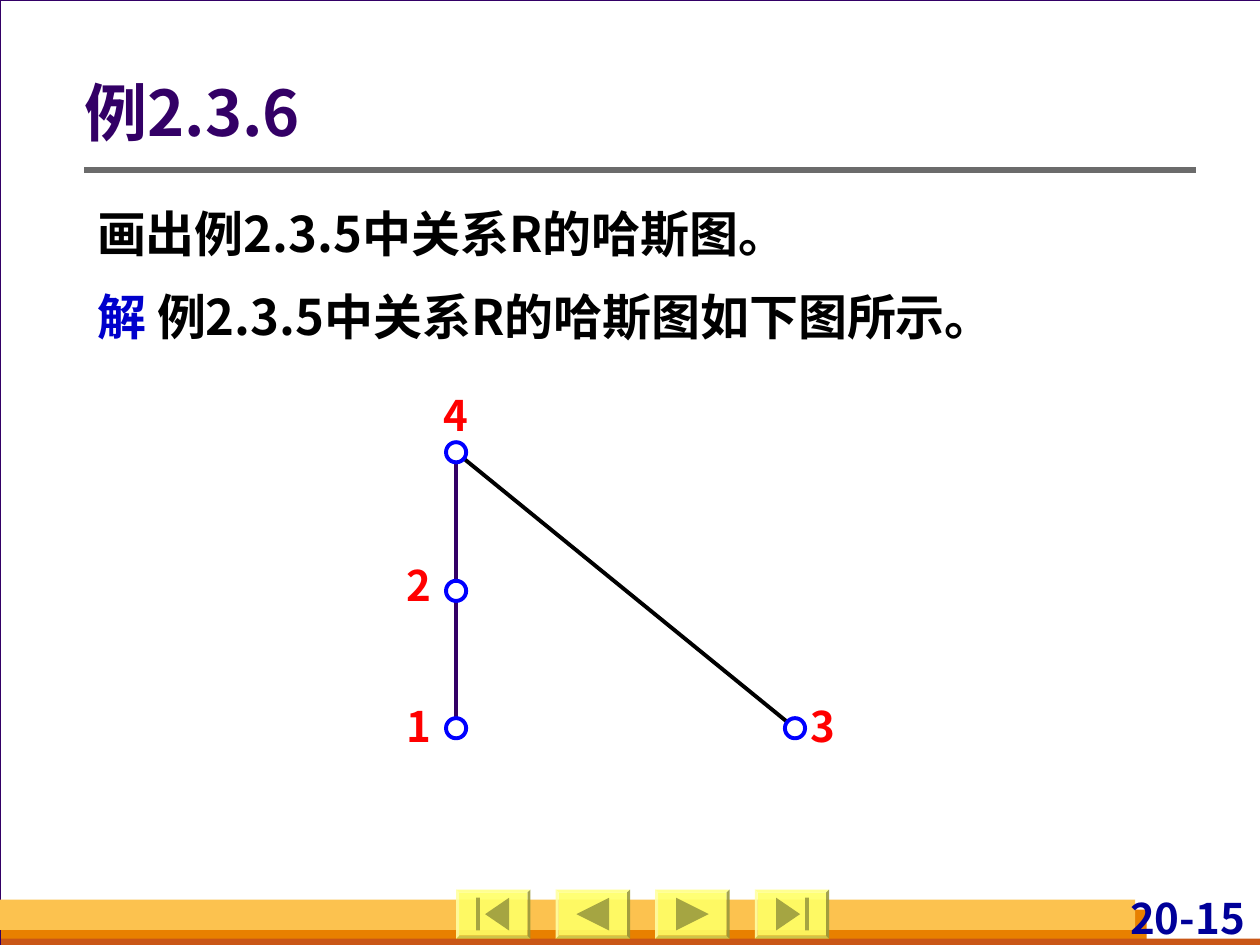
"""Builds the Hasse diagram slide of example 2.3.6."""
import pptx
import pptx.dml.color
import pptx.enum.shapes
import pptx.enum.text
import pptx.oxml
import pptx.oxml.ns
import pptx.util
from pptx.util import Inches

SHAPE = pptx.enum.shapes.MSO_SHAPE
ALIGN = pptx.enum.text.PP_ALIGN
ANCHOR = pptx.enum.text.MSO_ANCHOR
FONT = "Noto Sans CJK SC"
COLORS = {
    "backdrop": "D8DADA", "white": "FFFFFF", "purple": "330066",
    "orange": "E88000", "rust": "C95616", "amber": "FCC24F",
    "navy": "000099", "gray": "6B6B6B", "button": "FFFF66", "icon": "A5A542",
    "black": "000000", "answer": "0000CC", "label": "FF0000", "node": "0000FF",
}


class SlideBuilder:
    def __init__(self, slide):
        self.slide = slide
        slide.background.fill.solid()
        slide.background.fill.fore_color.rgb = self.color("backdrop")

    def color(self, name):
        return pptx.dml.color.RGBColor.from_string(COLORS[name])

    def element(self, tag, attributes=""):
        namespace = pptx.oxml.ns.nsdecls("a")
        return pptx.oxml.parse_xml(f"<a:{tag} {namespace} {attributes}/>")

    def shape(self, kind, left, top, width, height, fill, line=None, weight=0.75, alpha=None):
        shape = self.slide.shapes.add_shape(
            kind, Inches(left), Inches(top), Inches(width), Inches(height))
        shape.shadow.inherit = False
        shape.fill.solid()
        shape.fill.fore_color.rgb = self.color(fill)
        if alpha:
            solid = shape.element.spPr.find(pptx.oxml.ns.qn("a:solidFill"))
            solid[0].append(self.element("alpha", f'val="{alpha * 1000}"'))
        if line:
            shape.line.color.rgb = self.color(line)
            shape.line.width = pptx.util.Pt(weight)
        else:
            shape.line.fill.background()
        return shape

    def line(self, start, end, color, weight):
        connector = self.slide.shapes.add_connector(
            pptx.enum.shapes.MSO_CONNECTOR.STRAIGHT, *map(Inches, start + end))
        connector.line.color.rgb = self.color(color)
        connector.line.width = pptx.util.Pt(weight)
        connector.element.spPr.append(self.element("effectLst"))

    def fill_text(self, box, paragraphs, size, frame_format, para_format):
        frame = box.text_frame
        frame.word_wrap = True
        frame.auto_size = pptx.enum.text.MSO_AUTO_SIZE.NONE
        for name, value in frame_format.items():
            setattr(frame, name, value)
        for index, spans in enumerate(paragraphs):
            para = frame.add_paragraph() if index else frame.paragraphs[0]
            for name, value in para_format.items():
                setattr(para, name, value)
            para.space_before = pptx.util.Pt(7 if index else 0)
            properties = para._p.get_or_add_pPr()
            properties.set("marL", "0")
            properties.set("indent", "0")
            properties.append(self.element("buNone"))
            for text, color in spans:
                span = para.add_run()
                span.text = text
                font_format = {"size": pptx.util.Pt(size), "bold": True, "name": FONT}
                for name, value in font_format.items():
                    setattr(span.font, name, value)
                span.font.color.rgb = self.color(color)
                span._r.get_or_add_rPr().append(self.element("ea", f'typeface="{FONT}"'))

    def placeholder(self, index, left, top, width, height, *content):
        box = self.slide.placeholders[index]
        place = {"left": left, "top": top, "width": width, "height": height}
        for name, value in place.items():
            setattr(box, name, Inches(value))
        box.element.getparent().append(box.element)
        self.fill_text(box, *content)

    def text(self, left, top, width, height, text, color, align, margin=0):
        box = self.slide.shapes.add_textbox(
            Inches(left), Inches(top), Inches(width), Inches(height))
        margins = {"margin_left": Inches(margin), "margin_right": Inches(margin),
                   "margin_top": 0, "margin_bottom": 0}
        self.fill_text(box, [[(text, color)]], 24, margins, {"alignment": align})

    def button(self, left, direction, bar):
        top, width, height, icon = 7.06, 0.59, 0.39, 0.26
        bevel = self.shape(SHAPE.BEVEL, left, top, width, height, "button", alpha=90)
        bevel.adjustments[0] = 0.06
        middle, center = left + width / 2, top + height / 2
        length = 0.19 if bar else icon
        shift = -0.03 * direction if bar else 0
        arrow = self.shape(SHAPE.ISOSCELES_TRIANGLE, middle + shift - icon / 2,
                           center - length / 2, icon, length, "icon")
        arrow.rotation = 90 * direction
        if bar:
            self.shape(SHAPE.RECTANGLE, middle + 0.12 * direction - 0.015,
                       center - icon / 2, 0.03, icon, "icon")

    def node(self, center_x, center_y):
        size = 0.16
        self.shape(SHAPE.OVAL, center_x - size / 2, center_y - size / 2,
                   size, size, "white", "node", 2.25)


def main():
    deck = pptx.Presentation()
    deck.slide_width, deck.slide_height = Inches(10), Inches(7.5)
    page = SlideBuilder(deck.slides.add_slide(deck.slide_layouts[1]))

    page.shape(SHAPE.RECTANGLE, 0, 0, 10.01, 7.5, "white", "purple")
    for left, top, width, height, fill in (
            (0.01, 7.22, 9.09, 0.28, "orange"),
            (0.01, 7.45, 10, 0.08, "rust"),
            (0, 7.14, 9.01, 0.24, "amber")):
        page.shape(SHAPE.RECTANGLE, left, top, width, height, fill)
    page.text(8.47, 7.08, 1.45, 0.46, "20-15", "navy", ALIGN.RIGHT, 0.04)
    page.line((0.67, 1.35), (9.49, 1.35), "gray", 3)
    for index, (direction, bar) in enumerate(((-1, True), (-1, False), (1, False), (1, True))):
        page.button(3.62 + 0.79 * index, direction, bar)

    page.placeholder(
        0, 0.67, 0.6, 8.82, 0.64, [[("例2.3.6", "purple")]], 36,
        {"margin_left": 0, "vertical_anchor": ANCHOR.MIDDLE},
        {"alignment": ALIGN.LEFT, "line_spacing": 0.9})
    page.placeholder(
        1, 0.67, 1.47, 8.82, 1.33,
        [[("画出例2.3.5中关系R的哈斯图。", "black")],
         [("解", "answer"), (" 例2.3.5中关系R的哈斯图如下图所示。", "black")]], 28,
        {"vertical_anchor": ANCHOR.TOP},
        {"alignment": ALIGN.JUSTIFY, "line_spacing": 1.2})

    nodes = {"1": (3.62, 5.78), "2": (3.62, 4.69), "3": (6.31, 5.78), "4": (3.62, 3.59)}
    labels = {"1": (3.23, 5.56), "2": (3.23, 4.44), "3": (6.43, 5.56), "4": (3.52, 3.09)}
    for upper, lower, color in (("4", "3", "black"), ("4", "2", "purple"), ("2", "1", "purple")):
        page.line(nodes[upper], nodes[lower], color, 2.25)
    for name, center in nodes.items():
        page.node(*center)
        page.text(*labels[name], 0.24, 0.4, name, "label", ALIGN.JUSTIFY)

    deck.save("out.pptx")


if __name__ == "__main__":
    main()
